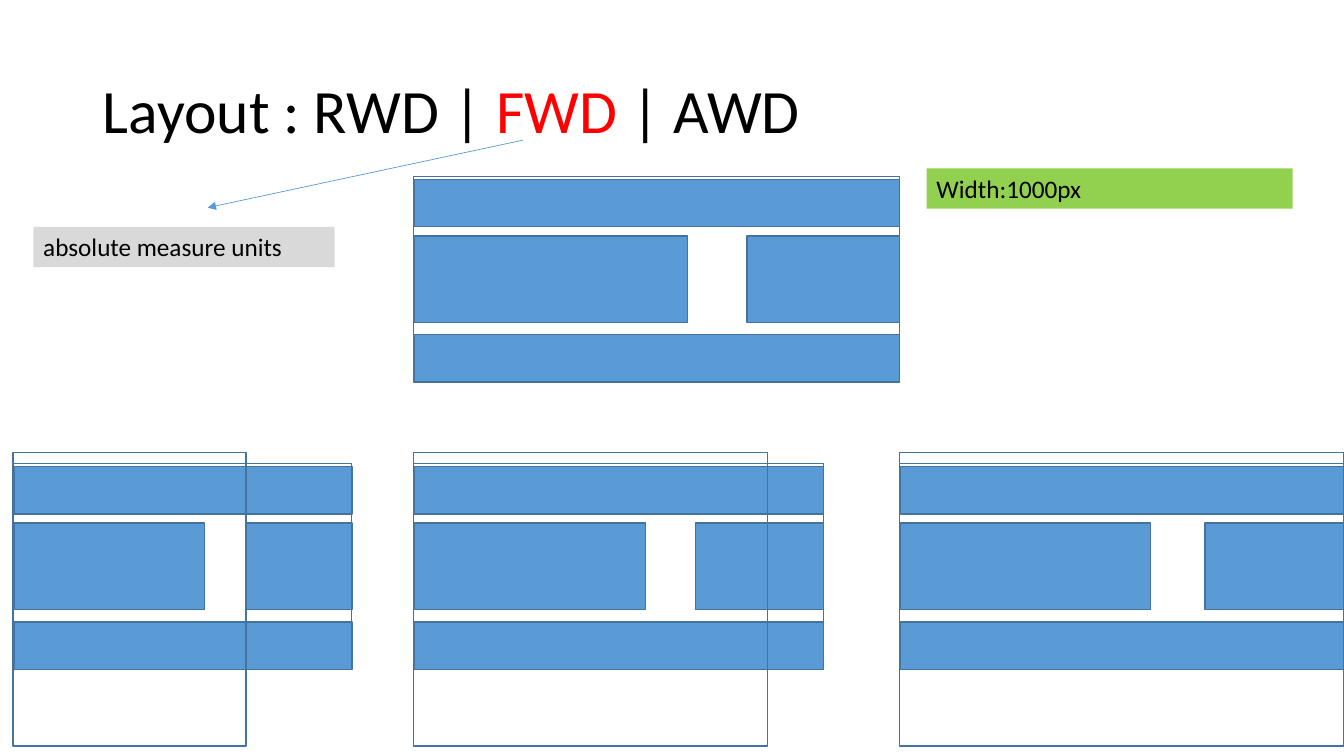
import pptx
import pptx.util
import pptx.dml.color
import pptx.enum.shapes
import pptx.enum.text
import pptx.oxml.ns
import lxml.etree

PX = 9144  # EMU per px, 100 px to the inch
FONT = "Calibri"
COLORS = {
    "text": "000000",
    "accent": "FF0000",
    "block": "5B9BD5",
    "outline": "43739E",
    "note": "D9D9D9",
    "width": "92D050",
}


def px(*lengths):
    return [pptx.util.Emu(length * PX) for length in lengths]


def rgb(name):
    return pptx.dml.color.RGBColor.from_string(COLORS[name])


def add_text(paragraph, text, size=18, color="text"):
    run = paragraph.add_run()
    run.text = text
    run.font.name = FONT
    run.font.size = pptx.util.Pt(size)
    run.font.color.rgb = rgb(color)


def add_title(slide):
    title = slide.shapes.title
    title.left, title.top, title.width, title.height = px(92, 40, 1150, 145)
    title.text_frame.vertical_anchor = pptx.enum.text.MSO_ANCHOR.MIDDLE
    paragraph = title.text_frame.paragraphs[0]
    paragraph.alignment = pptx.enum.text.PP_ALIGN.LEFT
    paragraph.line_spacing = 0.9
    add_text(paragraph, "Layout : RWD | ", size=44)
    add_text(paragraph, "FWD", size=44, color="accent")
    add_text(paragraph, " | AWD", size=44)


def add_box(shapes, left, top, width, height, fill=None):
    box = shapes.add_shape(pptx.enum.shapes.MSO_SHAPE.RECTANGLE,
                           *px(left, top, width, height))
    box.shadow.inherit = False
    if fill:
        box.fill.solid()
        box.fill.fore_color.rgb = rgb(fill)
    else:
        box.fill.background()
    box.line.color.rgb = rgb("outline")
    box.line.width = pptx.util.Pt(1)


def add_page(slide, left, top, width):
    """Page with header, footer, main column and sidebar."""
    shapes = slide.shapes.add_group_shape().shapes
    add_box(shapes, left, top, width, 204)
    inner_left, inner_width = left + 1, width - 1
    main_width = round(inner_width * 0.563)
    side_width = round(inner_width * 0.314)
    side_left = inner_left + inner_width - side_width
    for offset in (3, 157):
        add_box(shapes, inner_left, top + offset, inner_width, 47, fill="block")
    for column_left, column_width in ((inner_left, main_width),
                                      (side_left, side_width)):
        add_box(shapes, column_left, top + 59, column_width, 86, fill="block")


def add_label(slide, text, left, top, width, fill):
    label = slide.shapes.add_textbox(*px(left, top, width, 40))
    label.fill.solid()
    label.fill.fore_color.rgb = rgb(fill)
    label.text_frame.word_wrap = True
    label.text_frame.auto_size = pptx.enum.text.MSO_AUTO_SIZE.SHAPE_TO_FIT_TEXT
    add_text(label.text_frame.paragraphs[0], text)


def add_arrow(slide, *ends):
    arrow = slide.shapes.add_connector(
        pptx.enum.shapes.MSO_CONNECTOR.STRAIGHT, *px(*ends))
    arrow.line.color.rgb = rgb("block")
    arrow.line.width = pptx.util.Pt(0.5)
    qn = pptx.oxml.ns.qn
    lxml.etree.SubElement(arrow.line._get_or_add_ln(), qn("a:tailEnd"),
                          type="triangle")
    lxml.etree.SubElement(arrow._element.spPr, qn("a:effectLst"))


def main():
    presentation = pptx.Presentation()
    presentation.slide_width, presentation.slide_height = px(1333, 750)
    slide = presentation.slides.add_slide(presentation.slide_layouts[5])
    add_title(slide)

    # Page at its full width
    add_page(slide, 410, 175, 482)

    # The same page on narrow, medium and wide screens
    for left, page_width, screen_width in ((13, 336, 231),
                                           (410, 407, 351),
                                           (892, 441, 441)):
        add_page(slide, left, 460, page_width)
        add_box(slide.shapes, left, 449, screen_width, 291)

    # Notes
    add_arrow(slide, 519, 139, 206, 206)
    add_label(slide, "absolute measure units", 33, 225, 299, "note")
    add_label(slide, "Width:1000px", 919, 167, 363, "width")

    presentation.save("out.pptx")


if __name__ == "__main__":
    main()
